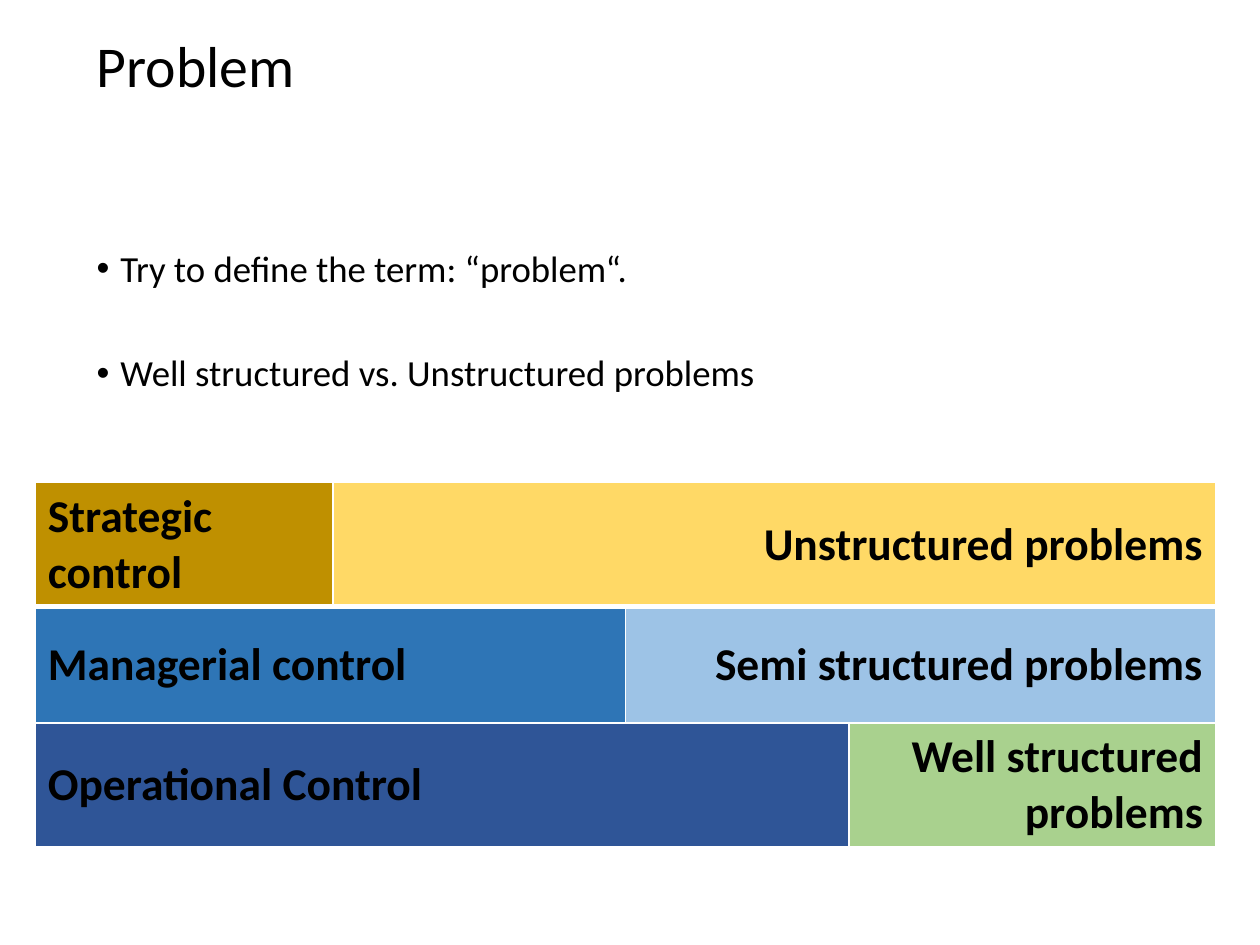
"""Build the slide that sets levels of control against kinds of problems."""
from dataclasses import dataclass

from lxml import etree
from pptx import Presentation
from pptx.dml.color import RGBColor
from pptx.enum import text
from pptx.oxml import ns
from pptx.util import Cm, Pt


@dataclass(frozen=True)
class Theme:
    font: str = "Calibri"
    ink: str = "000000"
    border: str = "FFFFFF"
    strategic: str = "BF9000"
    unstructured: str = "FFD966"
    managerial: str = "2E75B6"
    semi_structured: str = "9DC3E6"
    operational: str = "2F5597"
    well_structured: str = "A9D18E"
    title_size: int = 33
    body_size: int = 21
    table_size: int = 26


theme = Theme()


def write(paragraph, wording, size, bold=False, align=text.PP_ALIGN.LEFT,
          line=1.0, before=0, bullet=None):
    if bullet:
        properties = paragraph._p.get_or_add_pPr()
        indent = Cm(0.48)
        properties.set("marL", str(indent))
        properties.set("indent", str(-indent))
        etree.SubElement(properties, ns.qn("a:buFont"), typeface="Arial")
        etree.SubElement(properties, ns.qn("a:buChar"), char=bullet)
    paragraph.alignment = align
    paragraph.line_spacing = line
    paragraph.space_before = Pt(before)
    run = paragraph.add_run()
    run.text = wording
    run.font.name = theme.font
    run.font.size = Pt(size)
    run.font.bold = bold
    run.font.color.rgb = RGBColor.from_string(theme.ink)


def set_borders(cell, widths):
    properties = cell._tc.get_or_add_tcPr()
    for position, (side, width) in enumerate(widths.items()):
        edge = etree.Element(ns.qn(f"a:ln{side}"), w=str(Pt(width)))
        fill = etree.SubElement(edge, ns.qn("a:solidFill"))
        etree.SubElement(fill, ns.qn("a:srgbClr"), val=theme.border)
        properties.insert(position, edge)


deck = Presentation()
deck.slide_width, deck.slide_height = Cm(25.4), Cm(19.05)
slide = deck.slides.add_slide(deck.slide_layouts[5])
margin, content_width = Cm(1.7), Cm(22.66)

title = slide.shapes.title
title.left, title.top, title.width, title.height = margin, Cm(0.64), content_width, Cm(2.74)
title.text_frame.auto_size = text.MSO_AUTO_SIZE.NONE
title.text_frame.vertical_anchor = text.MSO_ANCHOR.TOP
write(title.text_frame.paragraphs[0], "Problem", theme.title_size, line=0.9)

questions = slide.shapes.add_textbox(margin, Cm(4.93), content_width, Cm(3.68)).text_frame
questions.word_wrap = True
write(questions.paragraphs[0], "Try to define the term: “problem“.",
      theme.body_size, line=0.9, bullet="•")
write(questions.add_paragraph(), "Well structured vs. Unstructured problems",
      theme.body_size, line=0.9, before=37, bullet="•")

column_widths = [6, 5.9, 4.5, 7.4]
row_heights = [2.5, 2.34, 2.5]
levels = [
    ("Strategic control", theme.strategic, "Unstructured problems", theme.unstructured),
    ("Managerial control", theme.managerial, "Semi structured problems", theme.semi_structured),
    ("Operational Control", theme.operational, "Well structured problems", theme.well_structured),
]
control_table = slide.shapes.add_table(
    len(row_heights), len(column_widths), Cm(0.71), Cm(9.73),
    Cm(sum(column_widths)), Cm(sum(row_heights))).table
control_table.first_row = False
control_table.horz_banding = False
for column, width in zip(control_table.columns, column_widths):
    column.width = Cm(width)
for row, height in zip(control_table.rows, row_heights):
    row.height = Cm(height)

last_column = len(column_widths) - 1
for level, (control, control_fill, problem, problem_fill) in enumerate(levels):
    borders = {"L": 1, "R": 1, "T": 3 if level == 1 else 1, "B": 3 if level == 0 else 1}
    for first, last, wording, fill, align in (
            (0, level, control, control_fill, text.PP_ALIGN.LEFT),
            (level + 1, last_column, problem, problem_fill, text.PP_ALIGN.RIGHT)):
        for position in range(first, last + 1):
            cell = control_table.cell(level, position)
            cell.fill.solid()
            cell.fill.fore_color.rgb = RGBColor.from_string(fill)
            set_borders(cell, borders)
        label = control_table.cell(level, first)
        if last > first:
            label.merge(control_table.cell(level, last))
        label.vertical_anchor = text.MSO_ANCHOR.MIDDLE
        write(label.text_frame.paragraphs[0], wording, theme.table_size, bold=True, align=align)

deck.save("out.pptx")
